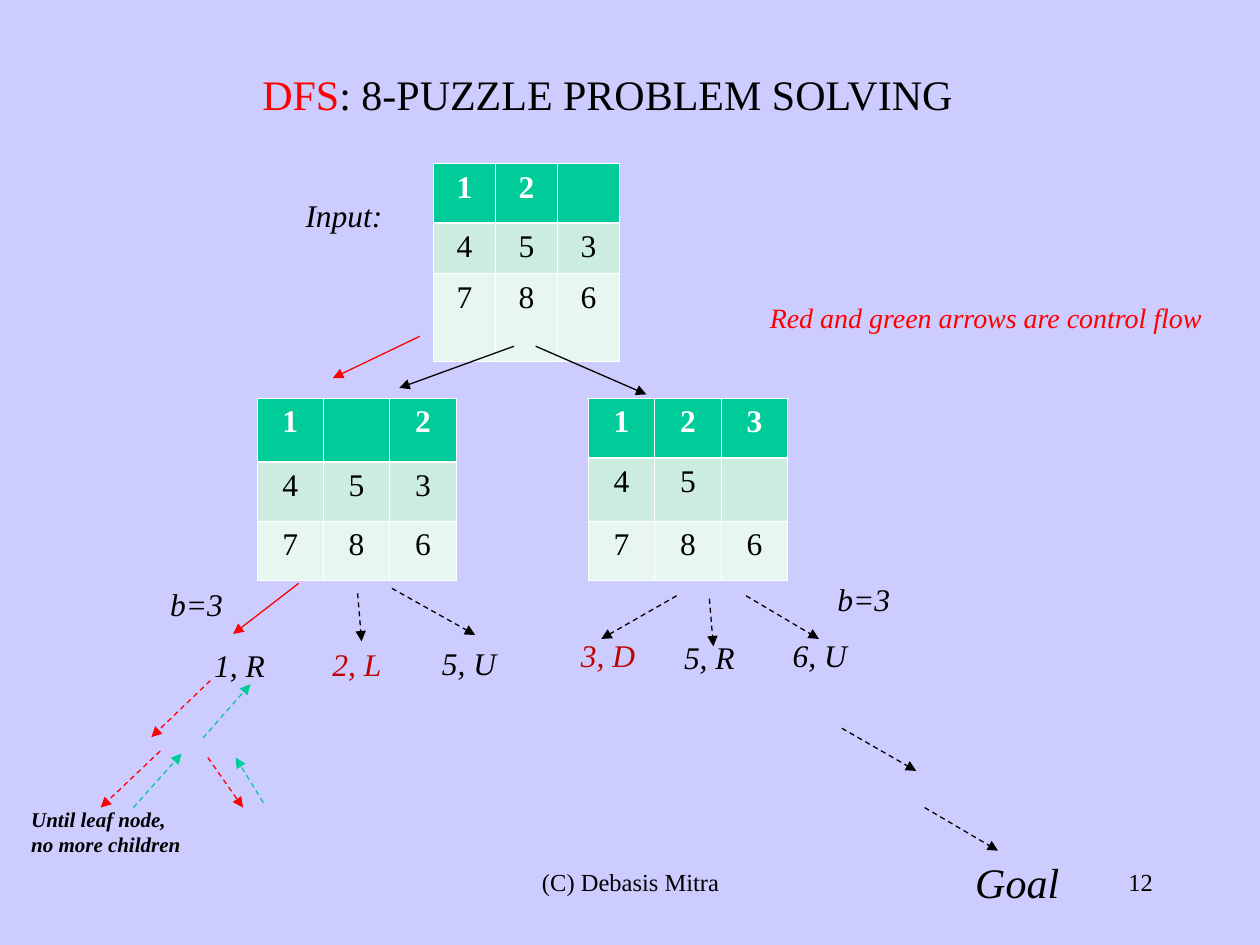
from collections import namedtuple

from pptx import Presentation
from pptx.dml.color import RGBColor
from pptx.enum.dml import MSO_LINE
from pptx.enum.shapes import MSO_CONNECTOR
from pptx.enum.text import MSO_ANCHOR, PP_ALIGN
from pptx.oxml.xmlchemy import OxmlElement
from pptx.util import Cm, Pt

STRAIGHT = MSO_CONNECTOR.STRAIGHT
DASH = MSO_LINE.DASH
LEFT, CENTER, RIGHT = PP_ALIGN.LEFT, PP_ALIGN.CENTER, PP_ALIGN.RIGHT
MIDDLE = MSO_ANCHOR.MIDDLE

FONT = "Times New Roman"
BLACK, WHITE, RED, DARK_RED, GREEN = "000000", "FFFFFF", "FF0000", "C00000", "00CC99"
BACKGROUND = "CCCCFF"
ROW_FILLS = [GREEN, "CBECDE", "E7F6EF"]
THIN, THICK = 0.45, 1.47

# All box sides are in centimetres.
Box = namedtuple("Box", "left top width height")


def color(value):
    return RGBColor.from_string(value)


def style(span, size, ink=BLACK, bold=False, italic=False):
    font = span.font
    font.name = FONT
    font.size = Pt(size)
    font.bold = bold
    font.italic = italic
    font.color.rgb = color(ink)


def inside(box, left, top, width=0, height=0):
    """Turn a place relative to box into a place on the page."""
    return Box(box.left + left, box.top + top, width, height)


def add_text(page, box, text, size, ink=BLACK, align=LEFT, wrap=False, **look):
    frame = page.shapes.add_textbox(*map(Cm, box)).text_frame
    frame.word_wrap = wrap
    frame.text = text
    for para in frame.paragraphs:
        para.alignment = align
        for span in para.runs:
            style(span, size, ink, **look)


def add_label(page, box, text, ink=BLACK):
    add_text(page, box._replace(height=1.02), text, 18, ink, italic=True)


def add_arrow(page, box, ends, ink=BLACK, dashed=True):
    x1, y1, x2, y2 = ends
    start, end = inside(box, x1, y1), inside(box, x2, y2)
    arrow = page.shapes.add_connector(
        STRAIGHT, Cm(start.left), Cm(start.top), Cm(end.left), Cm(end.top))
    arrow.line.color.rgb = color(ink)
    arrow.line.width = Pt(0.75)
    if dashed:
        arrow.line.dash_style = DASH
    head = OxmlElement("a:tailEnd")
    head.set("type", "triangle")
    arrow.line._get_or_add_ln().append(head)
    arrow._element.spPr.append(OxmlElement("a:effectLst"))


def add_borders(cell, top, bottom):
    sides = [("a:lnL", THIN), ("a:lnR", THIN), ("a:lnT", top), ("a:lnB", bottom)]
    properties = cell._tc.get_or_add_tcPr()
    for position, (tag, width) in enumerate(sides):
        line = OxmlElement(tag)
        line.set("w", str(Pt(width)))
        fill = OxmlElement("a:solidFill")
        ink = OxmlElement("a:srgbClr")
        ink.set("val", WHITE)
        fill.append(ink)
        line.append(fill)
        properties.insert(position, line)


def add_board(page, box, rows, heights):
    """Draw a puzzle state; a space in a row is the empty square."""
    table = page.shapes.add_table(3, 3, *map(Cm, box)).table
    table.horz_banding = False
    for column in table.columns:
        column.width = Cm(box.width / 3)
    for index, (digits, height) in enumerate(zip(rows, heights)):
        table.rows[index].height = Cm(height)
        header = index == 0
        for cell, digit in zip(table.rows[index].cells, digits):
            cell.fill.solid()
            cell.fill.fore_color.rgb = color(ROW_FILLS[index])
            add_borders(cell, THICK if index == 1 else THIN, THICK if header else THIN)
            cell.text = digit.strip()
            para = cell.text_frame.paragraphs[0]
            para.alignment = CENTER
            for span in para.runs:
                style(span, 18, WHITE if header else BLACK, bold=header)


def add_title(page, box):
    title = page.shapes.title
    title.left, title.top, title.width, title.height = map(Cm, box)
    frame = title.text_frame
    frame.vertical_anchor = MIDDLE
    para = frame.paragraphs[0]
    para.alignment = CENTER
    for text, ink in [("DFS", RED), (": 8-PUZZLE PROBLEM SOLVING", BLACK)]:
        span = para.add_run()
        span.text = text
        style(span, 24, ink)


def add_root(page, box):
    add_board(page, box, ["12 ", "453", "786"], [1.2, 1.02, 1.77])
    add_label(page, inside(box, -2.83, 0.53, 2.2), "Input:")
    add_arrow(page, box, (1.62, 3.68, -0.69, 4.52), dashed=False)
    add_arrow(page, box, (2.06, 3.68, 4.29, 4.65), dashed=False)
    add_arrow(page, box, (-0.28, 3.48, -2.03, 4.32), RED, dashed=False)


def add_child(page, box, rows, heights, branching, moves):
    """Draw a state with its branching factor and the moves below it."""
    add_board(page, box, rows, heights)
    add_label(page, inside(box, *branching, 1.75), "b=3")
    for text, place, ink, ends, arrow_ink in moves:
        add_label(page, inside(box, *place, 1.8), text, ink)
        add_arrow(page, box, ends, arrow_ink, dashed=arrow_ink != RED)


def add_backtracking(page, box):
    descents = [(3.86, 0.02, 2.67, 1.16), (2.85, 1.44, 1.65, 2.58), (3.81, 1.57, 4.52, 2.58)]
    returns = [(2.31, 2.58, 3.28, 1.49), (3.71, 1.18, 4.67, 0.09), (4.93, 2.48, 4.37, 1.57)]
    for ink, arrows in [(RED, descents), (GREEN, returns)]:
        for ends in arrows:
            add_arrow(page, box, ends, ink)
    add_text(page, inside(box, 0, 2.44, 3.7, 1.27),
             "Until leaf node,\nno more children", 12, bold=True, italic=True)


def add_goal_path(page, box):
    for ends in [(0, 0, 1.5, 0.86), (1.67, 1.6, 3.15, 2.47)]:
        add_arrow(page, box, ends)
    add_text(page, inside(box, 2.44, 2.47, 2.5, 1.27), "Goal", 24, italic=True)


def add_footer(page, box):
    add_text(page, inside(box, 0, 0, 8.05, box.height), "(C) Debasis Mitra", 14,
             align=CENTER, wrap=True)
    add_text(page, inside(box, 9.52, 0, 5.28, box.height), "12", 14,
             align=RIGHT, wrap=True)


def main():
    deck = Presentation()
    deck.slide_width, deck.slide_height = Cm(25.4), Cm(19.05)
    page = deck.slides.add_slide(deck.slide_layouts.get_by_name("Title Only"))
    page.background.fill.solid()
    page.background.fill.fore_color.rgb = color(BACKGROUND)

    add_title(page, Box(1.45, 0.61, 21.59, 2.54))
    add_root(page, Box(8.74, 3.3, 3.75, 3.99))
    add_child(page, Box(5.18, 8.03, 4.02, 3.66), ["1 2", "453", "786"],
              [1.28, 1.2, 1.18], (-2, 3.64), [
                  ("1, R", (-1.11, 4.86), BLACK, (0.84, 3.73, -0.48, 4.75), RED),
                  ("2, L", (1.27, 4.85), DARK_RED, (2.03, 3.93, 2.11, 4.9), BLACK),
                  ("5, U", (3.48, 4.82), BLACK, (2.72, 3.83, 4.4, 4.77), BLACK)])
    add_child(page, Box(11.86, 8.03, 4.02, 3.66), ["123", "45 ", "786"],
              [1.2, 1.28, 1.18], (4.77, 3.53), [
                  ("3, D", (-0.4, 4.67), DARK_RED, (1.78, 3.98, 0.26, 4.85), BLACK),
                  ("5, R", (1.68, 4.71), BLACK, (2.44, 4.04, 2.52, 5), BLACK),
                  ("6, U", (3.87, 4.67), BLACK, (3.18, 3.98, 4.65, 4.85), BLACK)])
    add_backtracking(page, Box(0.38, 13.7, 5, 3.71))
    add_goal_path(page, Box(16.97, 14.68, 4.94, 3.74))
    add_text(page, Box(15.27, 5.93, 9.5, 0.94), "Red and green arrows are control flow",
             16, RED, italic=True)
    add_footer(page, Box(8.69, 17.35, 14.8, 1.27))
    deck.save("out.pptx")


if __name__ == "__main__":
    main()
